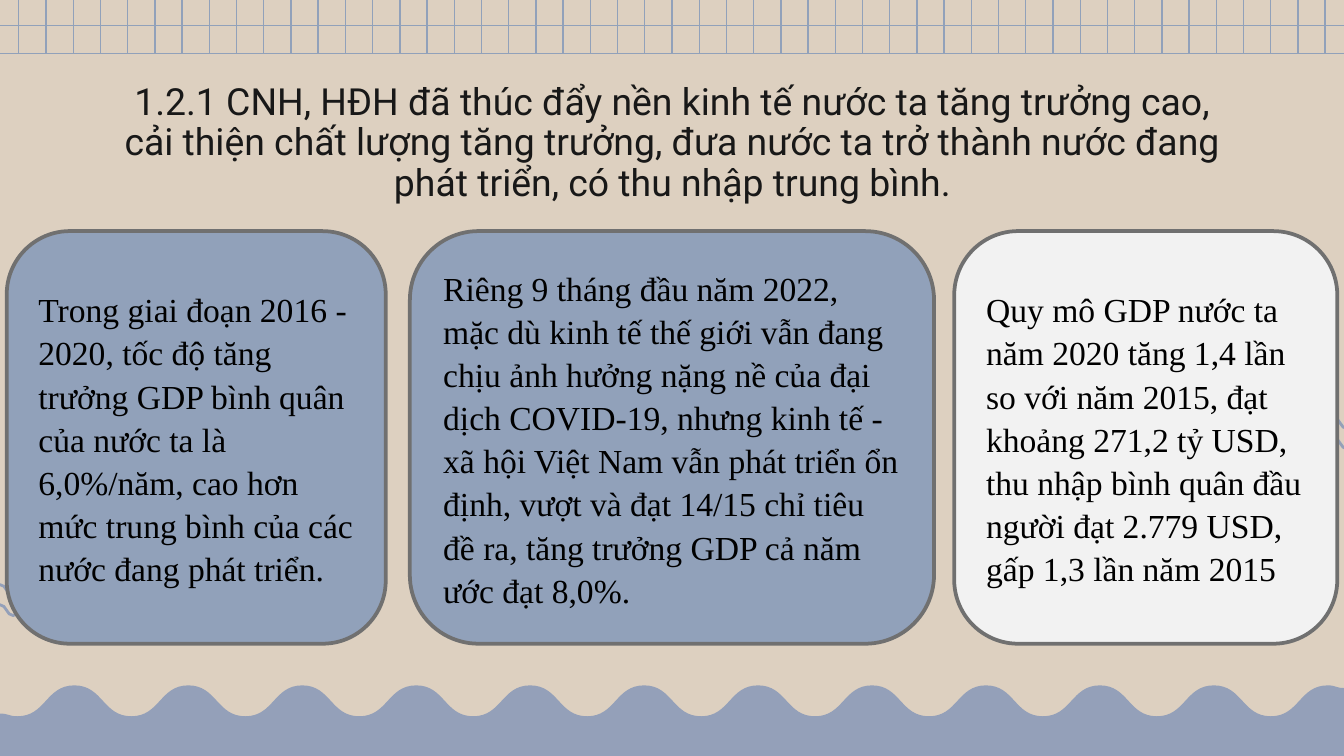
"""Build the slide on how industrialisation raised Vietnam's economic growth."""
from lxml import etree
from pptx import Presentation
from pptx.dml.color import RGBColor
from pptx.enum.shapes import MSO_CONNECTOR, MSO_SHAPE
from pptx.enum.text import MSO_ANCHOR, PP_ALIGN
from pptx.oxml.ns import qn
from pptx.util import Inches, Pt

STRAIGHT = MSO_CONNECTOR.STRAIGHT
ROUNDED = MSO_SHAPE.ROUNDED_RECTANGLE
MIDDLE = MSO_ANCHOR.MIDDLE
LEFT, CENTER = PP_ALIGN.LEFT, PP_ALIGN.CENTER

COLORS = {
    "sand": "DDD0C0", "steel": "91A1BA", "wave": "94A0B9", "light": "F2F2F2",
    "border": "707070", "ink": "181818", "black": "000000",
}
HEADING = (
    "1.2.1 CNH, HĐH đã thúc đẩy nền kinh tế nước ta tăng trưởng cao, "
    "cải thiện chất lượng tăng trưởng, đưa nước ta trở thành nước đang "
    "phát triển, có thu nhập trung bình."
)
CARDS = [
    (3.05, 3.9, "steel",
     "Riêng 9 tháng đầu năm 2022, mặc dù kinh tế thế giới vẫn đang chịu ảnh hưởng "
     "nặng nề của đại dịch COVID-19, nhưng kinh tế - xã hội Việt Nam vẫn phát triển "
     "ổn định, vượt và đạt 14/15 chỉ tiêu đề ra, tăng trưởng GDP cả năm ước đạt 8,0%."),
    (7.1, 2.85, "light",
     "Quy mô GDP nước ta năm 2020 tăng 1,4 lần so với năm 2015, đạt khoảng 271,2 tỷ "
     "USD, thu nhập bình quân đầu người đạt 2.779 USD, gấp 1,3 lần năm 2015"),
    (0.05, 2.82, "steel",
     "Trong giai đoạn 2016 - 2020, tốc độ tăng trưởng GDP bình quân của nước ta "
     "là 6,0%/năm, cao hơn mức trung bình của các nước đang phát triển."),
]
WIDTH, HEIGHT = 10, 10 * 9 / 16
CARD_TOP, CARD_HEIGHT = 1.72, 3.07
GRID_ROWS = (0.19, 0.4)
GRID_FIRST, GRID_LAST, GRID_COLUMNS = 0.14, 9.86, 49
RIPPLE_PAIRS = [(-0.78, 4.35), (8.56, 3.11)]
RIPPLE_LENGTH, RIPPLE_HEIGHT, RIPPLE_GAP, RIPPLE_BENDS = 1.56, 0.08, 0.15, 16
WAVE_CREST, WAVE_TROUGH = 5.1, 5.33
FIRST_TROUGH, LAST_CREST, WAVE_BENDS = 0.13, 9.88, 23
WAVE_START, WAVE_END = (0, 5.31), (WIDTH, 5.12)


def color(name):
    return RGBColor.from_string(COLORS[name])


def add_grid_line(shapes, x1, y1, x2, y2):
    line = shapes.add_connector(
        STRAIGHT, Inches(x1), Inches(y1), Inches(x2), Inches(y2))
    line.line.color.rgb = color("steel")
    line.line.width = Pt(0.75)
    etree.SubElement(line._element.spPr, qn("a:effectLst"))


def zigzag(left, right, first_y, second_y, bends):
    step = (right - left) / bends
    return [(left + i * step, (first_y, second_y)[i % 2]) for i in range(bends + 1)]


def bend(outline, count):
    path = next(outline._element.iter(qn("a:path")))
    x1, y1 = (int(path[0][0].get(axis)) for axis in "xy")
    for segment in path[1:count + 1]:
        x2, y2 = (int(segment[0].get(axis)) for axis in "xy")
        middle = (x1 + x2) // 2
        segment.remove(segment[0])
        curve = etree.Element(qn("a:cubicBezTo"))
        for x, y in ((middle, y1), (middle, y2), (x2, y2)):
            etree.SubElement(curve, qn("a:pt"), x=str(x), y=str(y))
        path.replace(segment, curve)
        x1, y1 = x2, y2


def add_curve(shapes, points, corners=()):
    start, *rest = [(Inches(x), Inches(y)) for x, y in (*points, *corners)]
    builder = shapes.build_freeform(*start)
    builder.add_line_segments(rest, close=bool(corners))
    outline = builder.convert_to_shape()
    outline.shadow.inherit = False
    bend(outline, len(points) - 1)
    return outline


def add_grid(slide):
    grid = slide.shapes.add_group_shape().shapes
    for y in GRID_ROWS:
        add_grid_line(grid, WIDTH, y, 0, y)
    step = (GRID_LAST - GRID_FIRST) / (GRID_COLUMNS - 1)
    for column in range(GRID_COLUMNS):
        x = GRID_FIRST + column * step
        add_grid_line(grid, x, -0.2, x, GRID_ROWS[-1])


def add_ripples(slide, left, top):
    pair = slide.shapes.add_group_shape().shapes
    for y in (top, top + RIPPLE_GAP):
        points = zigzag(left, left + RIPPLE_LENGTH, y, y + RIPPLE_HEIGHT, RIPPLE_BENDS)
        ripple = add_curve(pair, points)
        ripple.fill.background()
        ripple.line.color.rgb = color("wave")
        ripple.line.width = Pt(1.5)


def add_wave(slide):
    swell = zigzag(FIRST_TROUGH, LAST_CREST, WAVE_TROUGH, WAVE_CREST, WAVE_BENDS)
    wave = add_curve(slide.shapes, [WAVE_START, *swell, WAVE_END],
                     [(WIDTH, HEIGHT), (0, HEIGHT)])
    wave.fill.solid()
    wave.fill.fore_color.rgb = color("wave")
    wave.line.fill.background()


def write(frame, text, font, size, ink, align, spacing):
    frame.word_wrap = True
    frame.text = text
    paragraph = frame.paragraphs[0]
    paragraph.alignment = align
    paragraph.line_spacing = spacing
    run_font = paragraph.runs[0].font
    run_font.name, run_font.size = font, Pt(size)
    run_font.color.rgb = color(ink)
    return paragraph


def add_heading(slide):
    heading = slide.shapes.add_textbox(
        Inches(0.79), Inches(0.52), Inches(8.43), Inches(1.07))
    frame = heading.text_frame
    frame.margin_left = frame.margin_right = Inches(0.1)
    frame.margin_top = frame.margin_bottom = Inches(0.1)
    write(frame, HEADING, "Roboto", 20, "ink", CENTER, 0.9)


def add_card(slide, left, width, fill, text):
    card = slide.shapes.add_shape(
        ROUNDED, Inches(left), Inches(CARD_TOP), Inches(width), Inches(CARD_HEIGHT))
    card.shadow.inherit = False
    card.fill.solid()
    card.fill.fore_color.rgb = color(fill)
    card.line.color.rgb = color("border")
    card.line.width = Pt(2)
    card.text_frame.vertical_anchor = MIDDLE
    paragraph = write(card.text_frame, text, "Times New Roman", 18, "black", LEFT, 1.07)
    paragraph.space_after = Pt(8)


def main():
    deck = Presentation()
    deck.slide_width, deck.slide_height = Inches(WIDTH), Inches(HEIGHT)
    slide = deck.slides.add_slide(deck.slide_layouts[6])
    slide.background.fill.solid()
    slide.background.fill.fore_color.rgb = color("sand")
    left_pair, right_pair = RIPPLE_PAIRS
    add_grid(slide)
    add_ripples(slide, *left_pair)
    add_wave(slide)
    add_ripples(slide, *right_pair)
    add_heading(slide)
    for card in CARDS:
        add_card(slide, *card)
    deck.save("out.pptx")


if __name__ == "__main__":
    main()
